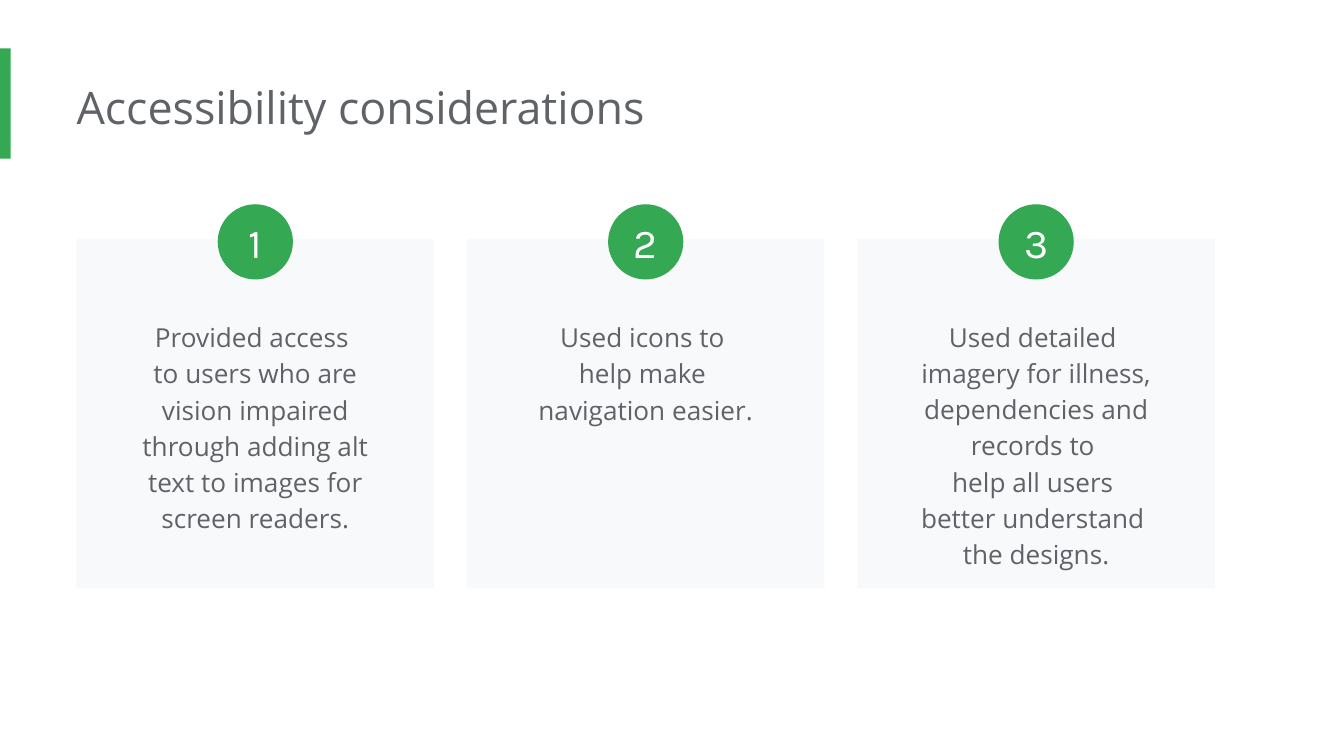
from lxml.etree import SubElement
from pptx import Presentation
from pptx.dml.color import RGBColor
from pptx.enum.shapes import MSO_SHAPE as Shape
from pptx.enum.text import MSO_ANCHOR as Anchor, PP_ALIGN as Align
from pptx.oxml.ns import qn
from pptx.util import Inches, Pt

GREEN, GREY, PALE, WHITE = "34A853", "5F6368", "F8F9FA", "FFFFFF"
TITLE = {"name": "Open Sans", "size": Pt(24)}
BODY = {"name": "Open Sans", "size": Pt(14)}
NUMBER = {"name": "Karla", "size": Pt(22)}

CONSIDERATIONS = [
    ("Provided access \nto users who are vision impaired through adding alt "
     "text to images for screen readers.", 1.79),
    ("Used icons to \nhelp make \nnavigation easier.", 0.98),
    ("Used detailed \nimagery for illness, dependencies and records to \n"
     "help all users \nbetter understand \nthe designs.", 2.1),
]
SLIDE_WIDTH = 10
SLIDE_HEIGHT = SLIDE_WIDTH * 9 / 16
CARD_LEFT, CARD_TOP, CARD_WIDTH, CARD_HEIGHT = 0.57, 1.78, 2.66, 2.6
LAST_CARD_LEFT = 6.38
CARD_STEP = (LAST_CARD_LEFT - CARD_LEFT) / (len(CONSIDERATIONS) - 1)
TEXT_WIDTH, TEXT_DROP = 2.24, 0.48
BADGE_SIZE, BADGE_RISE = 0.56, 0.26


def color(value):
    return RGBColor.from_string(value)


def add_block(page, kind, box, fill):
    block = page.shapes.add_shape(kind, *map(Inches, box))
    block.shadow.inherit = False
    block.fill.solid()
    block.fill.fore_color.rgb = color(fill)
    block.line.fill.background()
    return block


def write(frame, text, font, ink, align=Align.LEFT, spacing=None, inset=0.1, left_inset=None):
    """Fill a text frame with one paragraph; newlines become line breaks."""
    frame.word_wrap = True
    margins = {"margin_left": inset if left_inset is None else left_inset,
               "margin_top": inset, "margin_right": inset, "margin_bottom": inset}
    for name, value in margins.items():
        setattr(frame, name, Inches(value))
    para = frame.paragraphs[0]
    para.text = text
    para.alignment = align
    para.line_spacing = spacing
    for span in para.runs:
        for name, value in font.items():
            setattr(span.font, name, value)
        span.font.color.rgb = color(ink)
    # Line breaks need the text size too, or they stretch their lines.
    for line_break in para._p.findall(qn("a:br")):
        SubElement(line_break, qn("a:rPr"), sz=str(int(font["size"].pt * 100)))


def add_text(page, box, text, font, **layout):
    frame = page.shapes.add_textbox(*map(Inches, box)).text_frame
    frame.vertical_anchor = Anchor.TOP
    write(frame, text, font, GREY, **layout)


def add_heading(page, left, top, width, height):
    add_block(page, Shape.RECTANGLE, (0, 0.36, 0.08, 0.82), GREEN)
    add_text(page, (left, top, width, height), "Accessibility considerations",
             TITLE, left_inset=0)


def add_card(page, left, top, width, height, number, text, text_height):
    add_block(page, Shape.RECTANGLE, (left, top, width, height), PALE)
    text_left = left + (width - TEXT_WIDTH) / 2
    add_text(page, (text_left, top + TEXT_DROP, TEXT_WIDTH, text_height),
             text, BODY, align=Align.CENTER, spacing=1.15)
    badge_left = left + (width - BADGE_SIZE) / 2
    badge = add_block(page, Shape.OVAL,
                      (badge_left, top - BADGE_RISE, BADGE_SIZE, BADGE_SIZE), GREEN)
    badge.text_frame.vertical_anchor = Anchor.MIDDLE
    write(badge.text_frame, str(number), NUMBER, WHITE, align=Align.CENTER, inset=0)


def main():
    deck = Presentation()
    deck.slide_width, deck.slide_height = Inches(SLIDE_WIDTH), Inches(SLIDE_HEIGHT)
    page = deck.slides.add_slide(deck.slide_layouts[6])
    add_heading(page, CARD_LEFT, 0.49, 7.66, 0.61)
    for index, (text, text_height) in enumerate(CONSIDERATIONS):
        add_card(page, CARD_LEFT + index * CARD_STEP, CARD_TOP, CARD_WIDTH, CARD_HEIGHT,
                 index + 1, text, text_height)
    deck.save("out.pptx")


if __name__ == "__main__":
    main()
